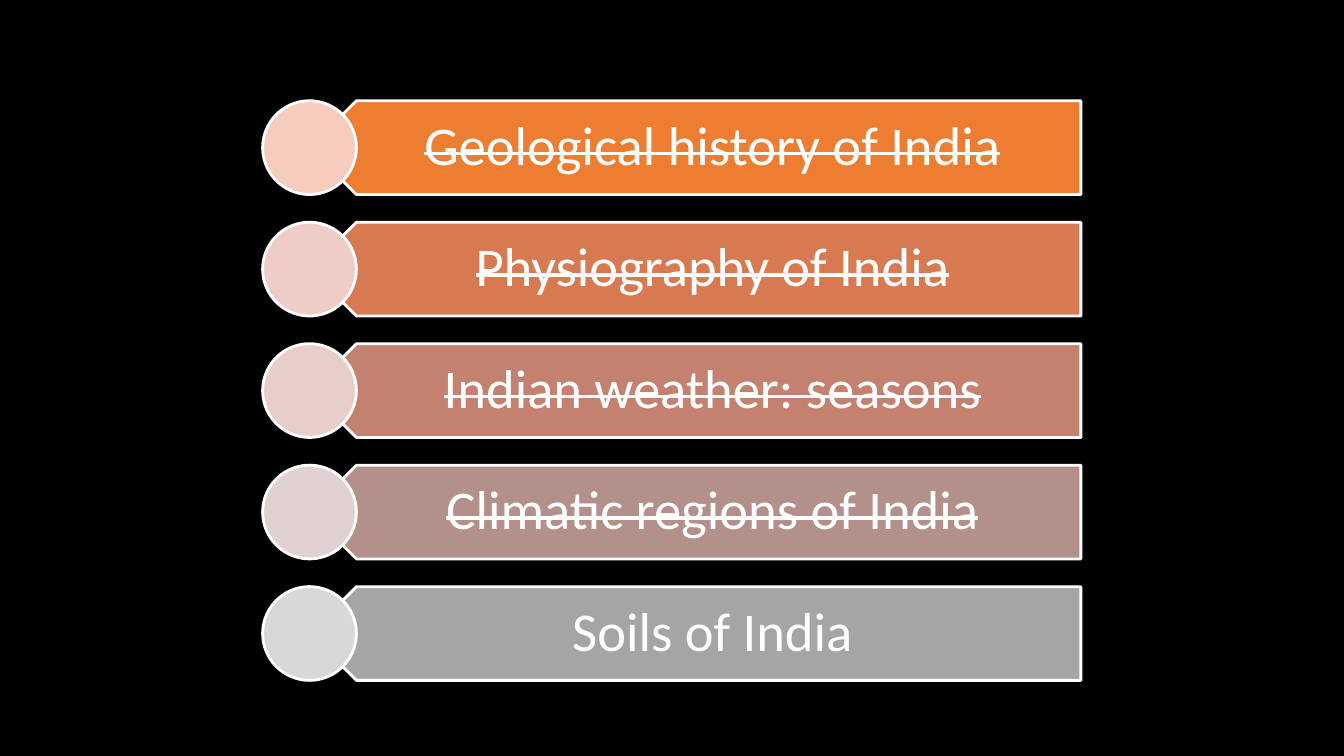
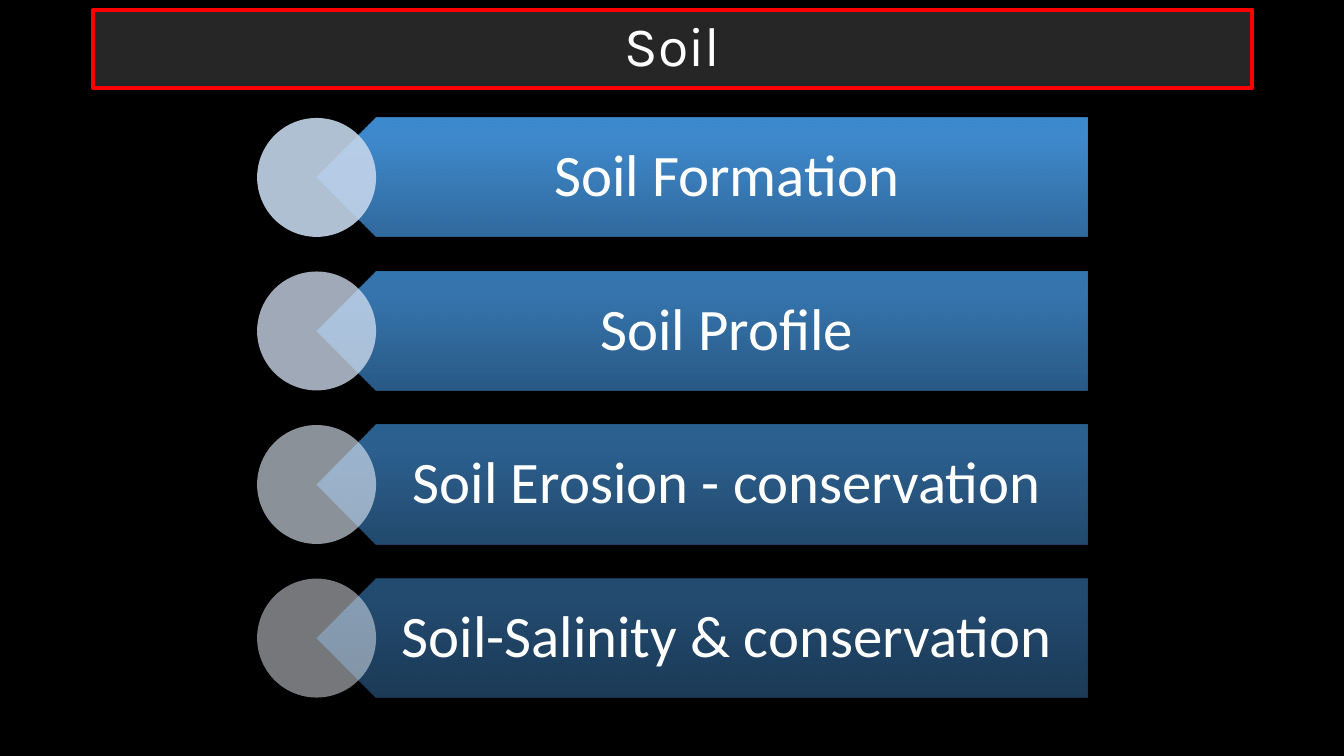
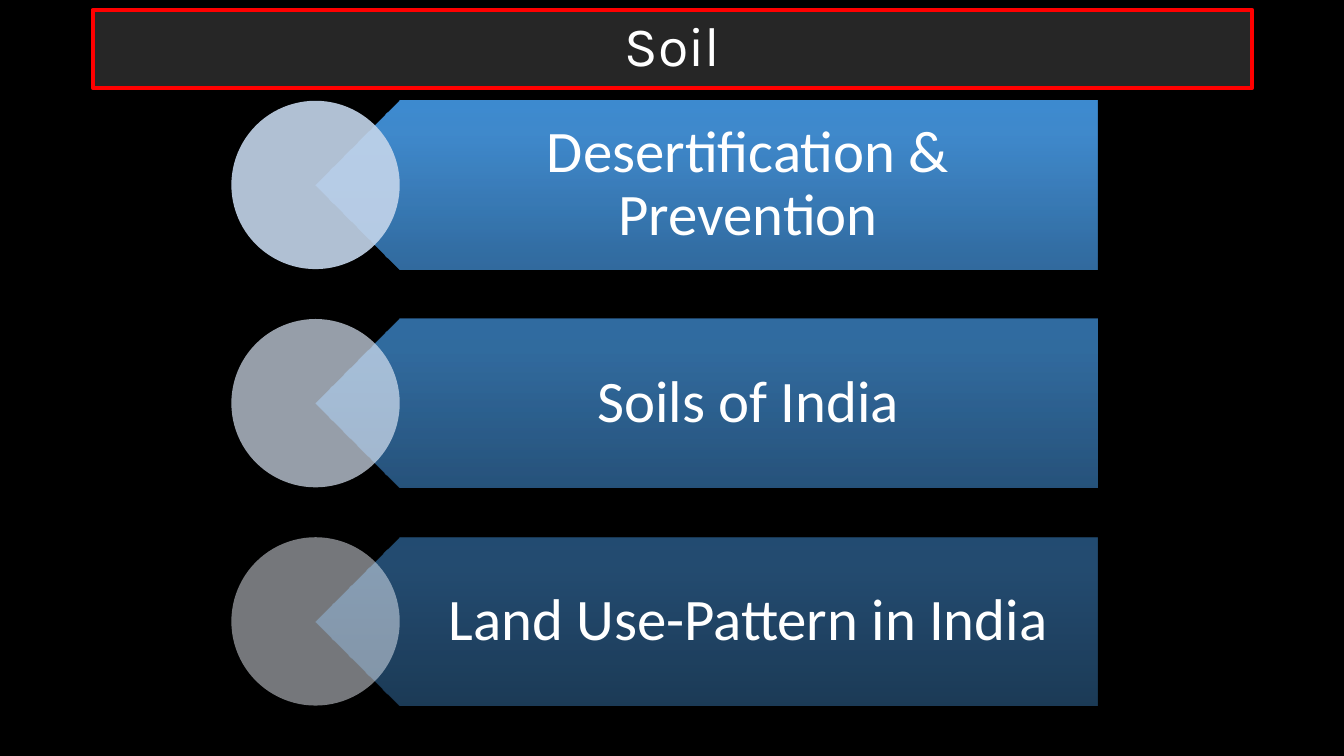
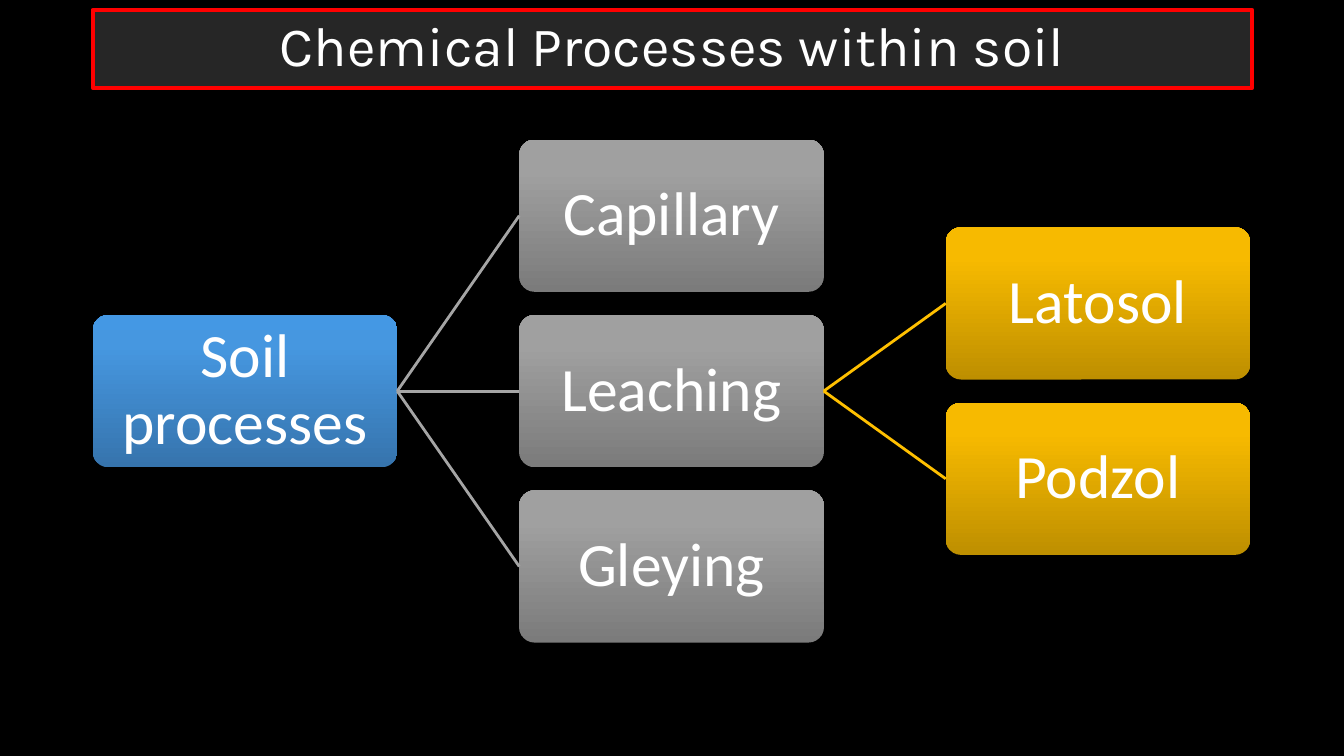
from lxml import etree
from pptx import Presentation
from pptx.dml.color import RGBColor
from pptx.enum.shapes import MSO_CONNECTOR, MSO_SHAPE
from pptx.enum.text import MSO_ANCHOR, PP_ALIGN
from pptx.oxml.ns import qn
from pptx.util import Inches, Pt

BLACK, WHITE, PANEL, RED = "000000", "FFFFFF", "262626", "FF0000"
GREY_LINE, GOLD_LINE = "A5A5A5", "FFC000"
BODY_FONT, TITLE_FONT = "Calibri", "Karla"

# Gradient stops as (percent, colour), from the bottom edge up
BLUE = [(0, "3674AD"), (80, "4697E0"), (100, "4498E4")]
GREY = [(0, "7B7B7B"), (80, "A0A0A0"), (100, "A1A1A1")]
GOLD = [(0, "BE8F00"), (80, "F7BA00"), (100, "F8BB00")]

# (text, bar colour, circle colour, done)
AGENDA = [
    ("Geological history of India", "ED7D31", "F6CCBE", True),
    ("Physiography of India", "D87A51", "EFCCC5", True),
    ("Indian weather: seasons", "C48170", "E8CECB", True),
    ("Climatic regions of India", "B4908B", "E0D2D2", True),
    ("Soils of India", "A5A5A5", "D8D8D8", False),
]
AGENDA_LAYOUT = dict(center=3.07, right=10.72, first=1, last=5.82, size=0.93,
                     margins=(0.41, 0.16, 0.3, 0.16), font_size=39)

# (title, [(text, circle colour)], layout)
TOPIC_SLIDES = [
    ("Soil",
     [("Soil Formation", "C4D5EB"),
      ("Soil Profile", "D1DDEF"),
      ("Soil Erosion - conservation", "DDE6F3"),
      ("Soil-Salinity & conservation", "EAEFF7")],
     dict(center=3.14, right=10.79, first=1.17, last=5.74, size=1.18,
          margins=(0.52, 0.17, 0.33, 0.17), font_size=42)),
    ("Soil",
     [("Desertification & Prevention", "C4D5EB"),
      ("Soils of India", "D7E2F1"),
      ("Land Use-Pattern in India", "EAEFF7")],
     dict(center=3.13, right=10.88, first=1, last=5.33, size=1.67,
          margins=(0.74, 0.17, 0.33, 0.17), font_size=42)),
]
FIRST_OPACITY, LAST_OPACITY = 90, 50

PROCESS_TITLE = "Chemical Processes within soil"
ROOT = "Soil processes"
# (parent, children, gradient, line colour)
BRANCHES = [
    (ROOT, ["Capillary", "Leaching", "Gleying"], GREY, GREY_LINE),
    ("Leaching", ["Latosol", "Podzol"], GOLD, GOLD_LINE),
]
NODE_LEFT, NODE_MIDDLE = 0.92, 3.88
NODE_WIDTH, NODE_HEIGHT = 3.02, 1.51
COLUMN_STEP, ROW_STEP = 4.23, 1.74


def rgb(code):
    return RGBColor.from_string(code)


def add_shape(slide, kind, left, top, width, height, fill=None, line=None, line_width=2):
    shape = slide.shapes.add_shape(
        kind, Inches(left), Inches(top), Inches(width), Inches(height))
    shape.shadow.inherit = False
    if fill:
        shape.fill.solid()
        shape.fill.fore_color.rgb = rgb(fill)
    if line:
        shape.line.color.rgb = rgb(line)
        shape.line.width = Pt(line_width)
    else:
        shape.line.fill.background()
    return shape


def set_opacity(color_element, percent):
    etree.SubElement(color_element, qn("a:alpha"), val=str(round(percent * 1000)))


def fill_gradient(shape, stops, opacity=100):
    """Fill from bottom to top, whatever the shape's rotation."""
    shape.fill.gradient()
    gradient = shape._element.spPr.find(qn("a:gradFill"))
    gradient.set("rotWithShape", "0")
    for child in list(gradient):
        gradient.remove(child)
    stop_list = etree.SubElement(gradient, qn("a:gsLst"))
    for position, code in stops:
        stop = etree.SubElement(stop_list, qn("a:gs"), pos=str(position * 1000))
        color = etree.SubElement(stop, qn("a:srgbClr"), val=code)
        if opacity < 100:
            set_opacity(color, opacity)
    etree.SubElement(gradient, qn("a:lin"), ang=str(270 * 60000), scaled="0")


def write(shape, text, size, font=BODY_FONT, margins=(0.1, 0.05, 0.1, 0.05), strike=False):
    frame = shape.text_frame
    frame.word_wrap = True
    frame.vertical_anchor = MSO_ANCHOR.MIDDLE
    for side, margin in zip(("left", "top", "right", "bottom"), margins):
        setattr(frame, f"margin_{side}", Inches(margin))
    paragraph = frame.paragraphs[0]
    paragraph.alignment = PP_ALIGN.CENTER
    paragraph.line_spacing = 0.9
    run = paragraph.add_run()
    run.text = text
    for name, value in dict(name=font, size=Pt(size)).items():
        setattr(run.font, name, value)
    run.font.color.rgb = rgb(WHITE)
    if strike:
        run.font._element.set("strike", "sngStrike")


def add_slide(prs, title=None):
    slide = prs.slides.add_slide(prs.slide_layouts[6])
    if title:
        banner = add_shape(slide, MSO_SHAPE.ROUNDED_RECTANGLE,
                           0.92, 0.1, 11.5, 0.77, PANEL, RED, 3)
        banner.adjustments[0] = 0
        write(banner, title, 39.6, TITLE_FONT)
    return slide


def add_bars(slide, items, center, right, first, last, size, margins, font_size):
    """Stack pointed bars with circles; items are (text, bar, circle, line, opacity, strike)."""
    step = (last - first) / (len(items) - 1)
    text_left = center + size / 4
    for row, (text, bar_fill, circle_fill, line, opacity, strike) in enumerate(items):
        top = first + row * step
        bar = add_shape(slide, MSO_SHAPE.PENTAGON, center, top, right - center, size, line=line)
        bar.rotation = 180
        if isinstance(bar_fill, list):
            fill_gradient(bar, bar_fill, opacity)
        else:
            bar.fill.solid()
            bar.fill.fore_color.rgb = rgb(bar_fill)
        label = slide.shapes.add_textbox(
            Inches(text_left), Inches(top), Inches(right - text_left), Inches(size))
        write(label, text, font_size, margins=margins, strike=strike)
        circle = add_shape(slide, MSO_SHAPE.OVAL, center - size / 2, top, size, size,
                           circle_fill, line)
        if opacity < 100:
            set_opacity(circle._element.spPr.find(qn("a:solidFill"))[0], opacity)


def add_node(slide, text, column, middle, gradient):
    node = add_shape(slide, MSO_SHAPE.ROUNDED_RECTANGLE, NODE_LEFT + column * COLUMN_STEP,
                     middle - NODE_HEIGHT / 2, NODE_WIDTH, NODE_HEIGHT)
    node.adjustments[0] = 0.1
    fill_gradient(node, gradient)
    write(node, text, 44, margins=(0.08,) * 4)
    return node


def join(slide, parent, child, color):
    link = slide.shapes.add_connector(MSO_CONNECTOR.STRAIGHT, 0, 0, 0, 0)
    link.begin_connect(parent, 3)
    link.end_connect(child, 1)
    link.line.color.rgb = rgb(color)
    link.line.width = Pt(2)
    etree.SubElement(link._element.spPr, qn("a:effectLst"))


def add_tree(slide):
    nodes = {ROOT: add_node(slide, ROOT, 0, NODE_MIDDLE, BLUE)}
    for column, (parent, children, gradient, color) in enumerate(BRANCHES, 1):
        for row, child in enumerate(children):
            middle = NODE_MIDDLE + (row - (len(children) - 1) / 2) * ROW_STEP
            nodes[child] = add_node(slide, child, column, middle, gradient)
            join(slide, nodes[parent], nodes[child], color)


def main():
    prs = Presentation()
    prs.slide_width, prs.slide_height = Inches(13.33), Inches(7.5)
    backdrop = prs.slide_master.background.fill
    backdrop.solid()
    backdrop.fore_color.rgb = rgb(BLACK)

    agenda = [(text, bar, circle, WHITE, 100, done) for text, bar, circle, done in AGENDA]
    add_bars(add_slide(prs), agenda, **AGENDA_LAYOUT)

    for title, topics, layout in TOPIC_SLIDES:
        fade = (FIRST_OPACITY - LAST_OPACITY) / (len(topics) - 1)
        bars = [(text, BLUE, circle, None, FIRST_OPACITY - row * fade, False)
                for row, (text, circle) in enumerate(topics)]
        add_bars(add_slide(prs, title), bars, **layout)

    add_tree(add_slide(prs, PROCESS_TITLE))
    prs.save("out.pptx")


if __name__ == "__main__":
    main()
